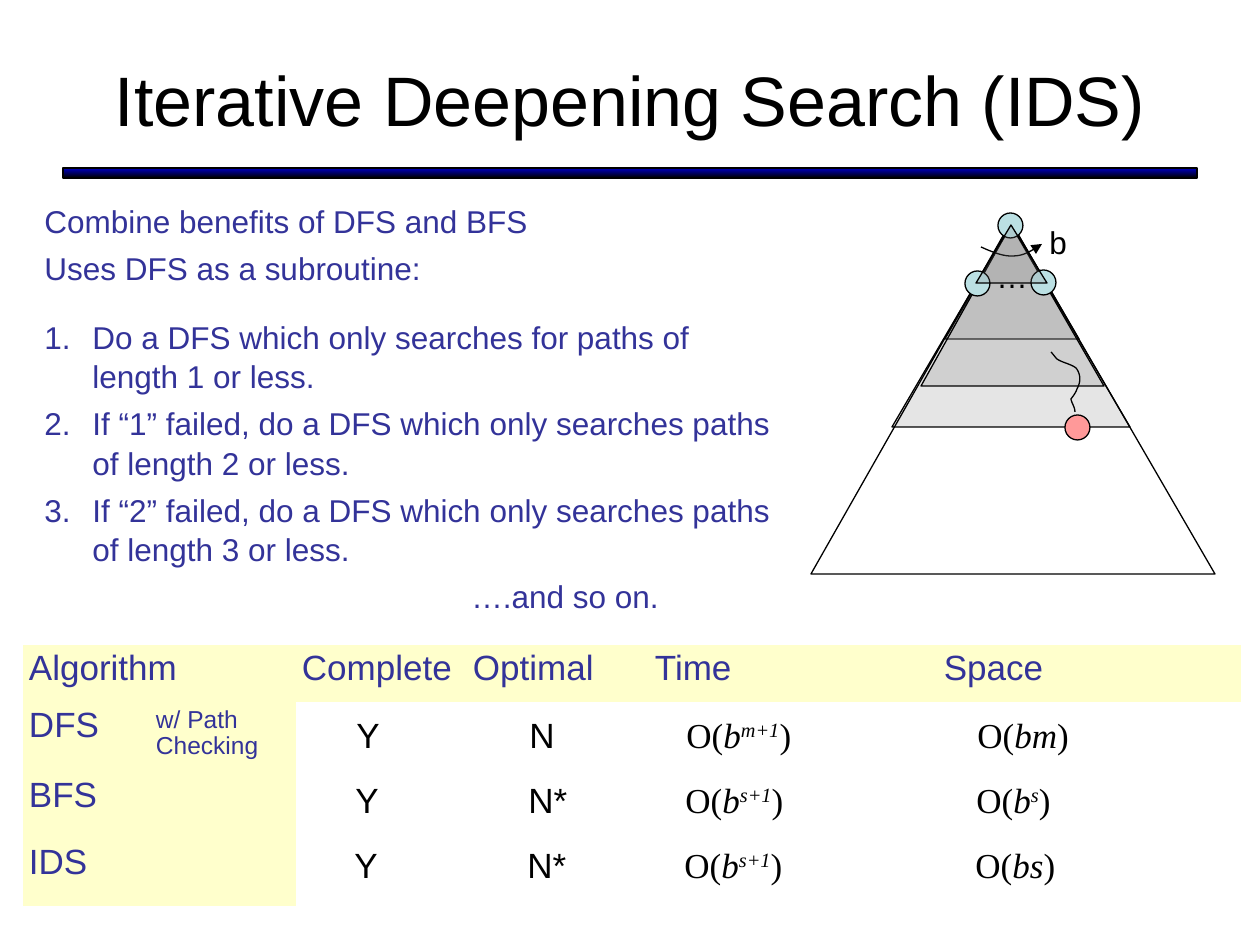
from lxml import etree
from pptx import Presentation
from pptx.dml.color import RGBColor
from pptx.enum.shapes import MSO_SHAPE
from pptx.enum.text import MSO_ANCHOR, PP_ALIGN
from pptx.oxml.ns import qn
from pptx.util import Pt

RECT, OVAL = MSO_SHAPE.RECTANGLE, MSO_SHAPE.OVAL
MIDDLE, CENTER = MSO_ANCHOR.MIDDLE, PP_ALIGN.CENTER
PX = 914400 / 126
SANS, SERIF = "Arial", "Times New Roman"
NO_TABLE_STYLE = "{2D5ABB26-0587-4C30-8999-92F81FD0307C}"
COLORS = {"ink": "000000", "body": "333399", "bar": "0000CC", "header": "FFFFCC",
          "depth": "808080", "node": "BBE0E3", "goal": "FF9999"}

# Content
TITLE = "Iterative Deepening Search (IDS)"
# text, space before in pt, left indent in px, numbered
BODY = [
    ("Combine benefits of DFS and BFS", 4.5, 0, False),
    ("Uses DFS as a subroutine:", 4.5, 0, False),
    ("Do a DFS which only searches for paths of length 1 or less.", 17, 48, True),
    ("If “1” failed, do a DFS which only searches paths of length 2 or less.", 4.5, 48, True),
    ("If “2” failed, do a DFS which only searches paths of length 3 or less.", 4.5, 48, True),
    ("….and so on.", 4.5, 427, False),
]
TABLE = [
    ["Algorithm", "", "Complete", "Optimal", "Time", "Space"],
    ["DFS", "w/ Path Checking", "", "", "", ""],
    ["BFS", "", "", "", "", ""],
    ["IDS", "", "", "", "", ""],
]
COLUMN_WIDTHS = [127, 146, 171, 182, 289, 303]
ROW_HEIGHTS = [57, 71, 67, 66]
# complete, optimal, then (base, exponent) of time and space
RESULTS = [
    ("Y", "N", ("b", "m+1"), ("bm", "")),
    ("Y", "N*", ("b", "s+1"), ("b", "s")),
    ("Y", "N*", ("b", "s+1"), ("bs", "")),
]
RESULT_COLUMNS = [(344, 84), (517, 84), (674, 262), (965, 189)]  # left, width

# Search tree: apex, bottom left, bottom right
DEPTH_LIMITS = [
    [(1012, 224), (945, 339), (1079, 339)],
    [(1011, 224), (892, 427), (1130, 427)],
    [(1011, 225), (921, 386), (1104, 386)],
]
WHOLE_TREE = [(1011, 222), (811, 574), (1215, 574)]
FIRST_LIMIT = [(1011, 225), (976, 283), (1047, 283)]
NODES = [(998, 213), (965, 271), (1031, 270)]
GOAL = (1065, 415)
NODE_SIZE = 25
# Bezier curves: start, then two controls and an end for each piece
BRANCHING_ARC = [(981, 247), (992, 252), (1004, 257), (1014, 256),
                 (1024, 256), (1033, 250), (1042, 244)]
GOAL_PATH = [(1051, 352), (1053, 354), (1055, 357), (1057, 359),
             (1063, 363), (1071, 364), (1076, 368), (1081, 374), (1081, 382), (1077, 389),
             (1076, 393), (1071, 399), (1071, 399), (1072, 404), (1075, 407), (1075, 412)]

deck = Presentation()
deck.slide_width, deck.slide_height = round(1260 * PX), round(945 * PX)
slide = deck.slides.add_slide(deck.slide_layouts[6])
shapes = slide.shapes


def emu(*lengths):
    return [round(length * PX) for length in lengths]


def rgb(name):
    return RGBColor.from_string(COLORS[name])


def set_font(paragraph, size, color="ink", face=SANS):
    font = paragraph.font
    font.name, font.size, font.color.rgb = face, Pt(size), rgb(color)


def add_text(box, text="", size=20, face=SANS):
    frame = shapes.add_textbox(*emu(*box)).text_frame
    frame.word_wrap = True
    paragraph = frame.paragraphs[0]
    paragraph.text = text
    set_font(paragraph, size, face=face)
    return frame


def outline(shape, fill=None):
    shape.shadow.inherit = False
    shape.line.color.rgb, shape.line.width = rgb("ink"), Pt(0.75)
    if fill:
        shape.fill.solid()
        shape.fill.fore_color.rgb = rgb(fill)
    else:
        shape.fill.background()
    return shape


def add_outline(points, fill=None, close=True):
    points = [emu(*point) for point in points]
    builder = shapes.build_freeform(*points[0], scale=1.0)
    builder.add_line_segments(points[1:], close=close)
    return outline(builder.convert_to_shape(), fill)


def add_depth(triangle):
    depth = add_outline(triangle, "depth")
    color = depth.fill._xPr.find(qn("a:solidFill"))[0]
    etree.SubElement(color, qn("a:alpha")).set("val", "20000")


def add_curve(points, steps=12):
    path = [points[0]]
    for i in range(0, len(points) - 1, 3):
        piece = points[i:i + 4]
        for step in range(1, steps + 1):
            t = step / steps
            weights = ((1 - t) ** 3, 3 * t * (1 - t) ** 2, 3 * t * t * (1 - t), t ** 3)
            path.append([sum(w * p[axis] for w, p in zip(weights, piece)) for axis in (0, 1)])
    return add_outline(path, close=False)


def add_node(corner, fill):
    outline(shapes.add_shape(OVAL, *emu(*corner, NODE_SIZE, NODE_SIZE)), fill)


# Rule under the title
rule = outline(shapes.add_shape(RECT, *emu(63, 168, 1134, 10)))
rule.fill.gradient()
rule.fill.gradient_angle = 90
for stop, name, position in zip(rule.fill.gradient_stops, ("ink", "bar"), (0, 1)):
    stop.color.rgb, stop.position = rgb(name), position

for triangle in DEPTH_LIMITS:
    add_depth(triangle)

# Title and body
title = add_text((63, 35, 1134, 126), TITLE, 40)
title.vertical_anchor = MIDDLE
title.paragraphs[0].alignment = CENTER

body = add_text((32, 194, 762, 694))
for i, (text, before, indent, numbered) in enumerate(BODY):
    paragraph = body.paragraphs[0] if i == 0 else body.add_paragraph()
    paragraph.text = text
    paragraph.space_before, paragraph.line_spacing = Pt(before), 1.04
    properties = paragraph._p.get_or_add_pPr()
    properties.set("marL", str(round(indent * PX)))
    properties.set("indent", str(round(-indent * PX) if numbered else 0))
    set_font(paragraph, 18, "body")
    if numbered:
        number = etree.Element(qn("a:buAutoNum"), type="arabicPeriod")
        properties.find(qn("a:defRPr")).addprevious(number)

# Comparison table
frame = shapes.add_table(len(TABLE), len(COLUMN_WIDTHS),
                         *emu(23, 645, sum(COLUMN_WIDTHS), sum(ROW_HEIGHTS)))
table = frame.table
table._tbl.tblPr.find(qn("a:tableStyleId")).text = NO_TABLE_STYLE
table.horz_banding = False
for column, width in zip(table.columns, emu(*COLUMN_WIDTHS)):
    column.width = width
for row, height in zip(table.rows, emu(*ROW_HEIGHTS)):
    row.height = height
table.cell(0, 0).merge(table.cell(0, 1))
for r, labels in enumerate(TABLE):
    for c, label in enumerate(labels):
        cell = table.cell(r, c)
        if r == 0 or c < 2:
            cell.fill.solid()
            cell.fill.fore_color.rgb = rgb("header")
        else:
            cell.fill.background()
        cell.margin_left, cell.margin_top, cell.margin_bottom = emu(6, 6, 6)
        paragraph = cell.text_frame.paragraphs[0]
        paragraph.text, paragraph.line_spacing = label, 0.93
        set_font(paragraph, 14 if r and c == 1 else 20, "body")

# Results over the table
for r, results in enumerate(RESULTS):
    for (left, width), result in zip(RESULT_COLUMNS, results):
        box = (left - r, 707 + 65 * r, width, 55)
        if isinstance(result, str):
            add_text(box, result)
            continue
        paragraph = add_text(box, face=SERIF).paragraphs[0]
        base, exponent = result
        for part, italic, raised in (("O(", False, False), (base, True, False),
                                     (exponent, True, True), (")", False, False)):
            if part:
                run = paragraph.add_run()
                run.text, run.font.italic = part, italic
                if raised:
                    run._r.get_or_add_rPr().set("baseline", "30000")

# Search tree
add_outline(WHOLE_TREE)
for corner in NODES:
    add_node(corner, "node")
add_text((984, 251, 38, 50), "…", 18)
arc = add_curve(BRANCHING_ARC)
etree.SubElement(arc.line._get_or_add_ln(), qn("a:tailEnd")).set("type", "triangle")
add_text((1037, 217, 42, 50), "b", 18)
add_node(GOAL, "goal")
add_curve(GOAL_PATH)
add_depth(FIRST_LIMIT)

deck.save("out.pptx")
